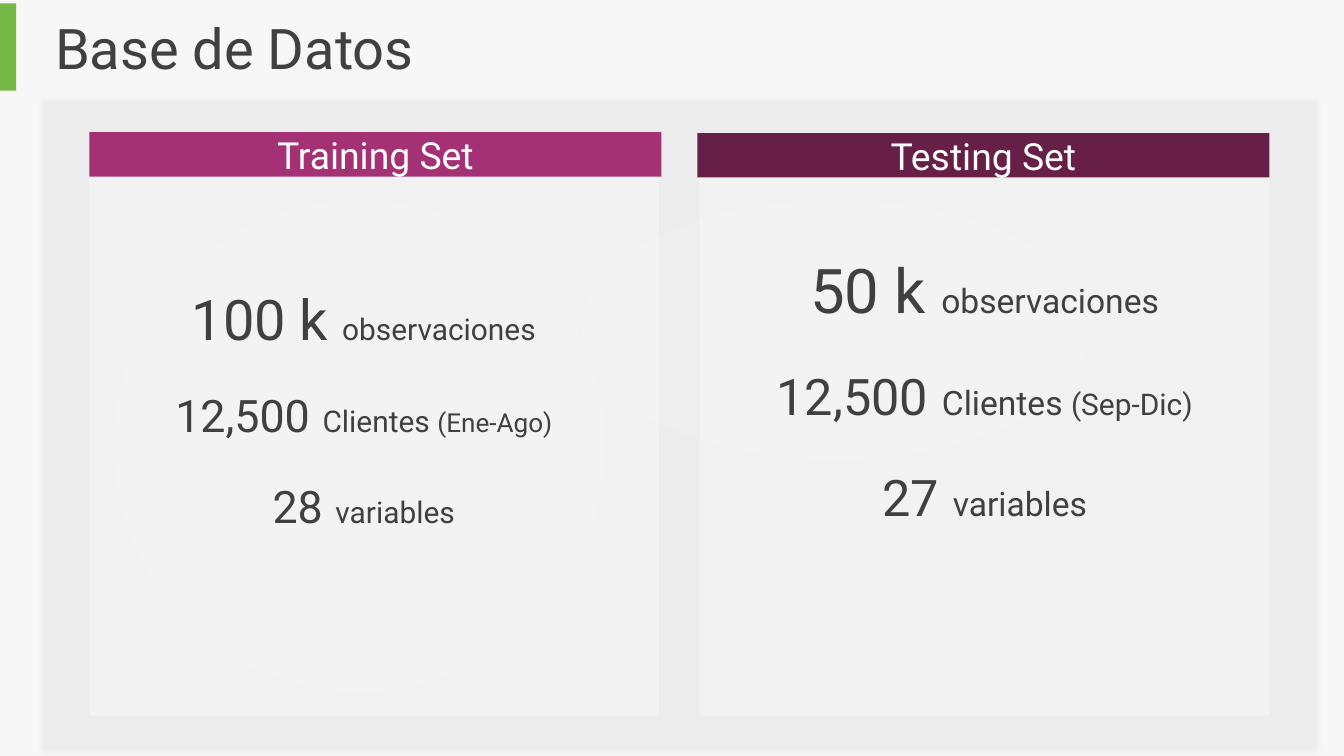
from dataclasses import dataclass

from lxml import etree
from pptx import Presentation
from pptx.dml.color import RGBColor
from pptx.enum import shapes, text
from pptx.oxml import ns
from pptx.util import Cm, Pt


@dataclass(frozen=True)
class Theme:
    font: str = "Roboto"
    page: str = "F7F7F7"
    surface: str = "F2F2F2"
    halo: str = "FFFFFF"
    ink: str = "404040"
    light: str = "FFFFFF"
    accent: str = "75B844"
    training: str = "A43173"
    testing: str = "671F48"
    title: int = 60
    header: int = 40
    # Sizes of: lead figure, figure, gap, label, note
    training_sizes: tuple = (60, 48, 54, 32, 28)
    testing_sizes: tuple = (66, 54, 60, 36, 32)


THEME = Theme()
RECT = shapes.MSO_SHAPE.RECTANGLE
OVAL = shapes.MSO_SHAPE.OVAL


def apply(target, values):
    for name, value in values.items():
        setattr(target, name, value)


def add_block(slide, kind, box, color, opacity=None):
    block = slide.shapes.add_shape(kind, *map(Cm, box))
    block.shadow.inherit = False
    block.fill.solid()
    block.fill.fore_color.rgb = RGBColor.from_string(color)
    block.line.fill.background()
    if opacity is not None:
        tint = block.fill._xPr.find(".//" + ns.qn("a:srgbClr"))
        etree.SubElement(tint, ns.qn("a:alpha"), val=str(opacity * 1000))
    return block


def add_shadow(block):
    effects = block._element.spPr.find(ns.qn("a:effectLst"))
    shadow = etree.SubElement(
        effects, ns.qn("a:outerShdw"), blurRad=str(Pt(4)), dist=str(Pt(3)),
        dir=str(45 * 60000), algn="tl", rotWithShape="0")
    tint = etree.SubElement(shadow, ns.qn("a:srgbClr"), val="000000")
    etree.SubElement(tint, ns.qn("a:alpha"), val="40000")


def write(frame, lines, color, frame_format, line_format):
    """Each line is a list of (wording, size) pieces."""
    apply(frame, {"word_wrap": True, **frame_format})
    for number, pieces in enumerate(lines):
        line = frame.add_paragraph() if number else frame.paragraphs[0]
        apply(line, line_format)
        for wording, size in pieces:
            run = line.add_run()
            run.text = wording
            apply(run.font, {"name": THEME.font, "size": Pt(size)})
            run.font.color.rgb = RGBColor.from_string(color)


INSETS = {f"margin_{side}": Cm(0.25) for side in ("left", "top", "right", "bottom")}
CENTERED = {"alignment": text.PP_ALIGN.CENTER}


def add_title(slide, box, wording):
    left, top, width, height = box
    title = slide.shapes.add_textbox(
        Cm(left + 1.83), Cm(top + 0.33), Cm(width - 1.83), Cm(height - 0.56))
    write(title.text_frame, [[(wording, THEME.title)]], THEME.ink, {},
          {"line_spacing": Pt(70)})
    add_block(slide, RECT, (left, top, 0.61, height), THEME.accent)


def add_card(slide, box, header, header_color, header_offset, halo, facts_box, facts):
    """The offsets of header, halo and facts are relative to the card."""
    left, top, width, height = box

    def place(part):
        return left + part[0], top + part[1], part[2], part[3]

    add_block(slide, RECT, box, THEME.surface)

    # Header band
    band = add_block(slide, RECT, place((*header_offset, width + 0.08, 1.68)), header_color)
    write(band.text_frame, [[(header, THEME.header)]], THEME.light,
          {**INSETS, "vertical_anchor": text.MSO_ANCHOR.MIDDLE}, CENTERED)

    # Halo and facts
    add_block(slide, OVAL, place(halo), THEME.halo, opacity=11)
    facts_area = slide.shapes.add_textbox(*map(Cm, place(facts_box)))
    write(facts_area.text_frame, facts, THEME.ink,
          {**INSETS, "vertical_anchor": text.MSO_ANCHOR.TOP},
          {**CENTERED, "line_spacing": 1.5})


def set_facts(observations, months, variables, sizes):
    lead, figure, gap, label, note = sizes
    return [
        [(f"{observations} ", lead), ("observaciones", label)],
        [("12,500", figure), (" ", gap), ("Clientes ", label), (f"({months})", note)],
        [(variables, figure), (" ", gap), ("variables", label)],
    ]


def main():
    deck = Presentation()
    apply(deck, {"slide_width": Cm(50.8), "slide_height": Cm(28.58)})
    slide = deck.slides.add_slide(deck.slide_layouts[6])

    # Page and panel
    add_block(slide, RECT, (0, 0, 50.8, 28.58), THEME.page)
    panel = add_block(slide, RECT, (1.52, 3.71, 48.26, 24.64), THEME.surface, opacity=11)
    add_shadow(panel)

    add_title(slide, (0, 0.13, 31.6, 3.3), "Base de Datos")

    # Training and testing cards
    add_card(slide, (3.38, 5.08, 21.54, 21.97), "Training Set", THEME.training,
             (0, -0.08), (0.91, 2.49, 18.59, 18.59), (0.91, 4.17, 18.92, 15.44),
             set_facts("100 k", "Ene-Ago", "28", THEME.training_sizes))
    add_card(slide, (26.44, 5.08, 21.54, 21.97), "Testing Set", THEME.testing,
             (-0.08, -0.05), (-4.47, 2.49, 19.25, 9.8), (0.99, 2.79, 19.58, 8.15),
             set_facts("50 k", "Sep-Dic", "27", THEME.testing_sizes))

    deck.save("out.pptx")


if __name__ == "__main__":
    main()
